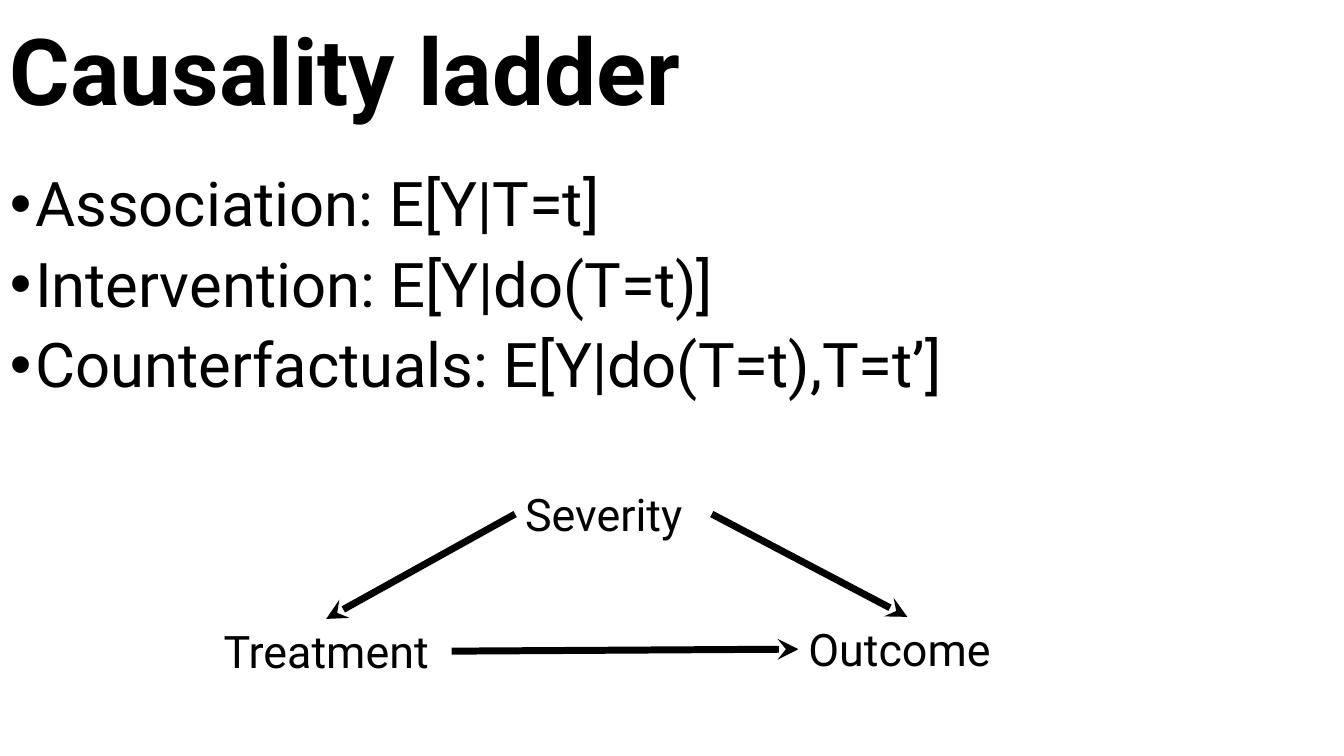
from lxml.etree import SubElement
from pptx import Presentation
from pptx.dml.color import RGBColor
from pptx.enum.shapes import MSO_CONNECTOR as Conn
from pptx.enum.text import MSO_ANCHOR as Anchor, MSO_AUTO_SIZE as Fit, PP_ALIGN as Align
from pptx.oxml.ns import qn
from pptx.util import Inches, Pt

deck = Presentation()
deck.slide_width = Inches(13.33)
deck.slide_height = Inches(7.5)
slide = deck.slides.add_slide(deck.slide_layouts[6])
col = deck.slide_width / 100
row = deck.slide_height / 100


def paint(target, tint):
    target.rgb = RGBColor.from_string(tint)


def write(box, lines, size, bold=False, bullet=False):
    frame = box.text_frame
    frame.word_wrap = True
    for i, line in enumerate(lines):
        para = frame.add_paragraph() if i else frame.paragraphs[0]
        if bullet:
            props = para._p.get_or_add_pPr()
            props.set("marL", str(Inches(0.25)))
            props.set("indent", str(-Inches(0.25)))
            SubElement(props, qn("a:buFont"), typeface="Arial")
            SubElement(props, qn("a:buChar"), char="•")
            para.space_before = Pt(10 if i else 0)
        run = para.add_run()
        run.text = line
        run.font.name = "Roboto"
        run.font.size = Pt(size)
        run.font.bold = bold
        paint(run.font.color, "000000")
    return frame


title = slide.shapes.add_textbox(0, int(0.27 * row), int(100 * col), int(19.33 * row))
head = write(title, ["Causality ladder"], 66, bold=True)
head.vertical_anchor = Anchor.MIDDLE

ladder = slide.shapes.add_textbox(0, int(22.27 * row), int(100 * col), int(31.47 * row))
rungs = [
    "Association: E[Y|T=t]",
    "Intervention: E[Y|do(T=t)]",
    "Counterfactuals: E[Y|do(T=t),T=t’]",
]
body = write(ladder, rungs, 44, bullet=True)
for para in [*head.paragraphs, *body.paragraphs]:
    para.line_spacing = 0.9

nodes = {}
for name, left, top, width, align in [
    ("Treatment", 14.93, 81.87, 18.68, Align.CENTER),
    ("Severity", 38.33, 63.73, 14.63, Align.LEFT),
    ("Outcome", 59.41, 81.6, 16.2, Align.LEFT),
]:
    node = slide.shapes.add_textbox(
        int(left * col), int(top * row), int(width * col), int(8.53 * row)
    )
    frame = write(node, [name], 32)
    frame.auto_size = Fit.SHAPE_TO_FIT_TEXT
    frame.paragraphs[0].alignment = align
    nodes[name] = node

for cause, start, effect, end in [
    ("Severity", 1, "Treatment", 0),
    ("Treatment", 3, "Outcome", 1),
    ("Severity", 3, "Outcome", 0),
]:
    arrow = slide.shapes.add_connector(Conn.STRAIGHT, 0, 0, 0, 0)
    arrow.begin_connect(nodes[cause], start)
    arrow.end_connect(nodes[effect], end)
    arrow.line.width = Pt(5)
    paint(arrow.line.color, "000000")
    SubElement(arrow.line._get_or_add_ln(), qn("a:tailEnd"), type="stealth")
    SubElement(arrow._element.spPr, qn("a:effectLst"))

deck.save("out.pptx")
